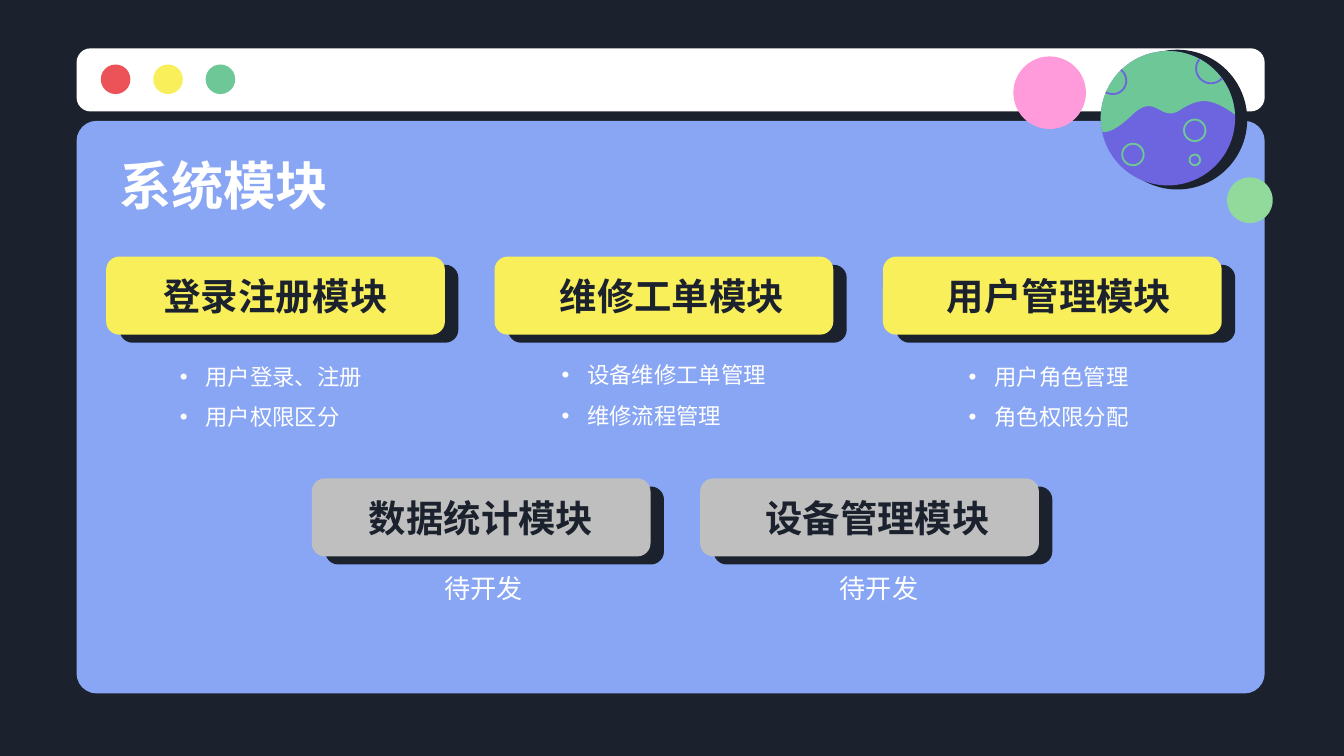
from math import cos, sin, radians
from lxml import etree
from pptx import Presentation
from pptx.dml.color import RGBColor
from pptx.enum import shapes as s, text as t
from pptx.oxml import ns
from pptx.util import Inches, Pt

DARK = RGBColor(0x1B, 0x22, 0x2D)
BLUE = RGBColor(0x88, 0xA6, 0xF3)
WHITE = RGBColor(0xFF, 0xFF, 0xFF)
RED = RGBColor(0xEB, 0x53, 0x58)
YELLOW = RGBColor(0xF8, 0xEF, 0x5B)
GREEN = RGBColor(0x6D, 0xC7, 0x97)
PURPLE = RGBColor(0x6D, 0x65, 0xE0)
LIME = RGBColor(0x92, 0xD9, 0x9C)
PINK = RGBColor(0xFF, 0x9B, 0xDA)
GRAY = RGBColor(0xBF, 0xBF, 0xBF)
FONT = "Noto Sans CJK SC"

TITLE = "系统模块"
READY = [
    ("登录注册模块", 0.99, ["用户登录、注册", "用户权限区分"], (1.24, 2.5, 1.89, 0.62)),
    ("维修工单模块", 3.94, ["设备维修工单管理", "维修流程管理"], (4.08, 2.49, 1.93, 0.62)),
    ("用户管理模块", 6.82, ["用户角色管理", "角色权限分配"], (7.11, 2.5, 1.66, 0.62)),
]
LATER = [
    ("数据统计模块", 2.52, ["待开发"], (2.54, 4.16, 2.12, 0.62)),
    ("设备管理模块", 5.47, ["待开发"], (5.48, 4.16, 2.12, 0.62)),
]
ROWS = [(READY, 0.79, 1.91, YELLOW, True), (LATER, 2.32, 3.56, GRAY, False)]
STEP, WIDE, HIGH = 2.89, 2.52, 0.58

PLANET = (8.69, 0.88, 0.5)
WAVE = [
    [(9.2, 0.86), (9.02, 0.73), (8.93, 0.72), (8.78, 0.82)],
    [(8.78, 0.82), (8.63, 0.92), (8.6, 0.67), (8.41, 0.87)],
    [(8.41, 0.87), (8.31, 0.96), (8.25, 0.99), (8.2, 0.98)],
]
ARCS = [(8.28, 0.6, 0.1, -53, 121), (9.01, 0.51, 0.11, 42, 218)]
RINGS = [(8.43, 1.15, 0.08), (8.89, 0.97, 0.08), (8.89, 1.19, 0.04)]

deck = Presentation()
deck.slide_width, deck.slide_height = Inches(10), Inches(10) * 9 // 16
slide = deck.slides.add_slide(deck.slide_layouts[6])
slide.background.fill.solid()
slide.background.fill.fore_color.rgb = DARK


def paint(shape, fill=None, line=None):
    shape.shadow.inherit = False
    if fill is None:
        shape.fill.background()
    else:
        shape.fill.solid()
        shape.fill.fore_color.rgb = fill
    if line is None:
        shape.line.fill.background()
    else:
        shape.line.color.rgb = line
        shape.line.width = Pt(1)


def panel(box, adj, fill):
    shape = slide.shapes.add_shape(s.MSO_SHAPE.ROUNDED_RECTANGLE, *map(Inches, box))
    shape.adjustments[0] = adj
    paint(shape, fill)


def disc(x, y, r, fill=None, line=None):
    box = map(Inches, (x - r, y - r, 2 * r, 2 * r))
    paint(slide.shapes.add_shape(s.MSO_SHAPE.OVAL, *box), fill, line)


def arc(x, y, r, start, end):
    turns = [radians(start + (end - start) * i / 40) for i in range(41)]
    return [(x + r * cos(a), y + r * sin(a)) for a in turns]


def curve(knots):
    points = []
    for i in range(1, 17):
        u = i / 16
        parts = ((1 - u) ** 3, 3 * u * (1 - u) ** 2, 3 * u * u * (1 - u), u ** 3)
        points.append(tuple(sum(w * k[n] for w, k in zip(parts, knots)) for n in (0, 1)))
    return points


def trace(points, fill=None, line=None):
    points = [(Inches(x), Inches(y)) for x, y in points]
    form = slide.shapes.build_freeform(*points[0], scale=1.0)
    form.add_line_segments(points[1:], close=fill is not None)
    paint(form.convert_to_shape(), fill, line)


def bullet(para):
    props = para._p.get_or_add_pPr()
    props.set("marL", str(Inches(0.19)))
    props.set("indent", str(-Inches(0.19)))
    color = etree.SubElement(props, ns.qn("a:buClr"))
    etree.SubElement(color, ns.qn("a:srgbClr")).set("val", str(WHITE))
    etree.SubElement(props, ns.qn("a:buFont")).set("typeface", "Arial")
    etree.SubElement(props, ns.qn("a:buChar")).set("char", "•")


def write(box, lines, size, color, bold=False, center=True, mid=True, dots=False):
    frame = slide.shapes.add_textbox(*map(Inches, box)).text_frame
    frame.word_wrap = True
    frame.margin_left = frame.margin_right = Inches(0.1)
    frame.margin_top = frame.margin_bottom = Inches(0.1)
    frame.vertical_anchor = t.MSO_ANCHOR.MIDDLE if mid else t.MSO_ANCHOR.TOP
    frame.text = "\n".join(lines)
    for para in frame.paragraphs:
        para.alignment = t.PP_ALIGN.CENTER if center else t.PP_ALIGN.LEFT
        if dots:
            para.line_spacing = 1.5
            bullet(para)
        for run in para.runs:
            font = run.font
            font.name, font.size, font.bold = FONT, Pt(size), bold
            font.color.rgb = color
            face = etree.SubElement(run._r.get_or_add_rPr(), ns.qn("a:ea"))
            face.set("typeface", FONT)


panel((0.57, 0.9, 8.84, 4.26), 0.035, BLUE)
panel((0.57, 0.36, 8.84, 0.47), 0.223, WHITE)
for i, color in enumerate((RED, YELLOW, GREEN)):
    disc(0.86 + 0.39 * i, 0.59, 0.11, color)

disc(8.76, 0.89, 0.52, DARK)
disc(*PLANET, PURPLE)
edge = arc(*PLANET, 169, 357)
trace(edge + [p for knots in WAVE for p in curve(knots)], GREEN)
for bend in ARCS:
    trace(arc(*bend), line=PURPLE)
for ring in RINGS:
    disc(*ring, line=GREEN)
disc(9.3, 1.49, 0.17, LIME)
disc(7.81, 0.69, 0.27, PINK)

write((0.79, 1.06, 8.43, 0.62), [TITLE], 28, WHITE, bold=True, center=False)
for mods, left, top, color, done in ROWS:
    for i, (name, x, lines, box) in enumerate(mods):
        at = left + STEP * i
        panel((at + 0.1, top + 0.06, WIDE, HIGH), 0.167, DARK)
        panel((at, top, WIDE, HIGH), 0.167, color)
        write((x, top, 2.12, HIGH), [name], 20, DARK, bold=True)
        write(box, lines, 12 if done else 14, WHITE, center=not done, mid=False, dots=done)

deck.save("out.pptx")
